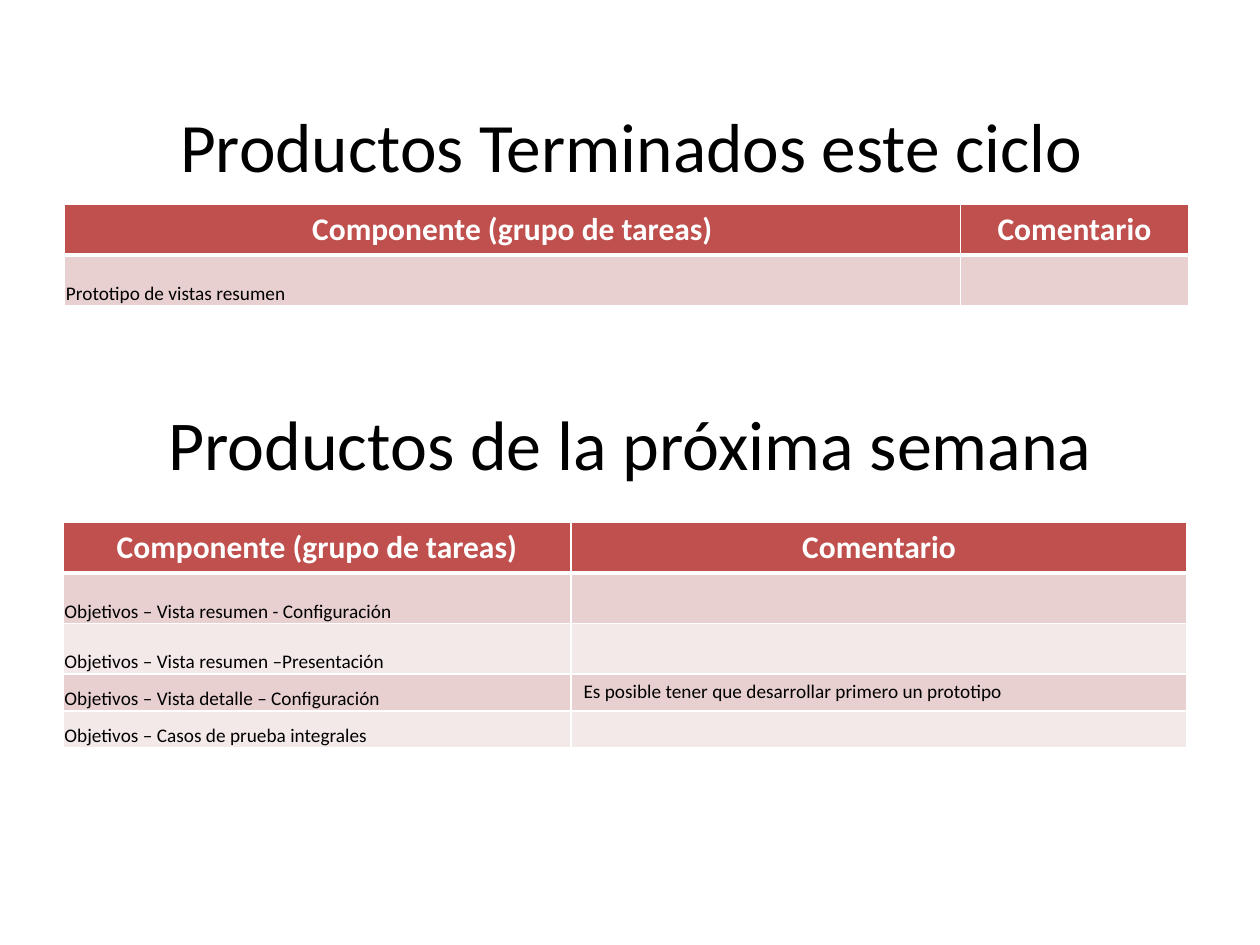
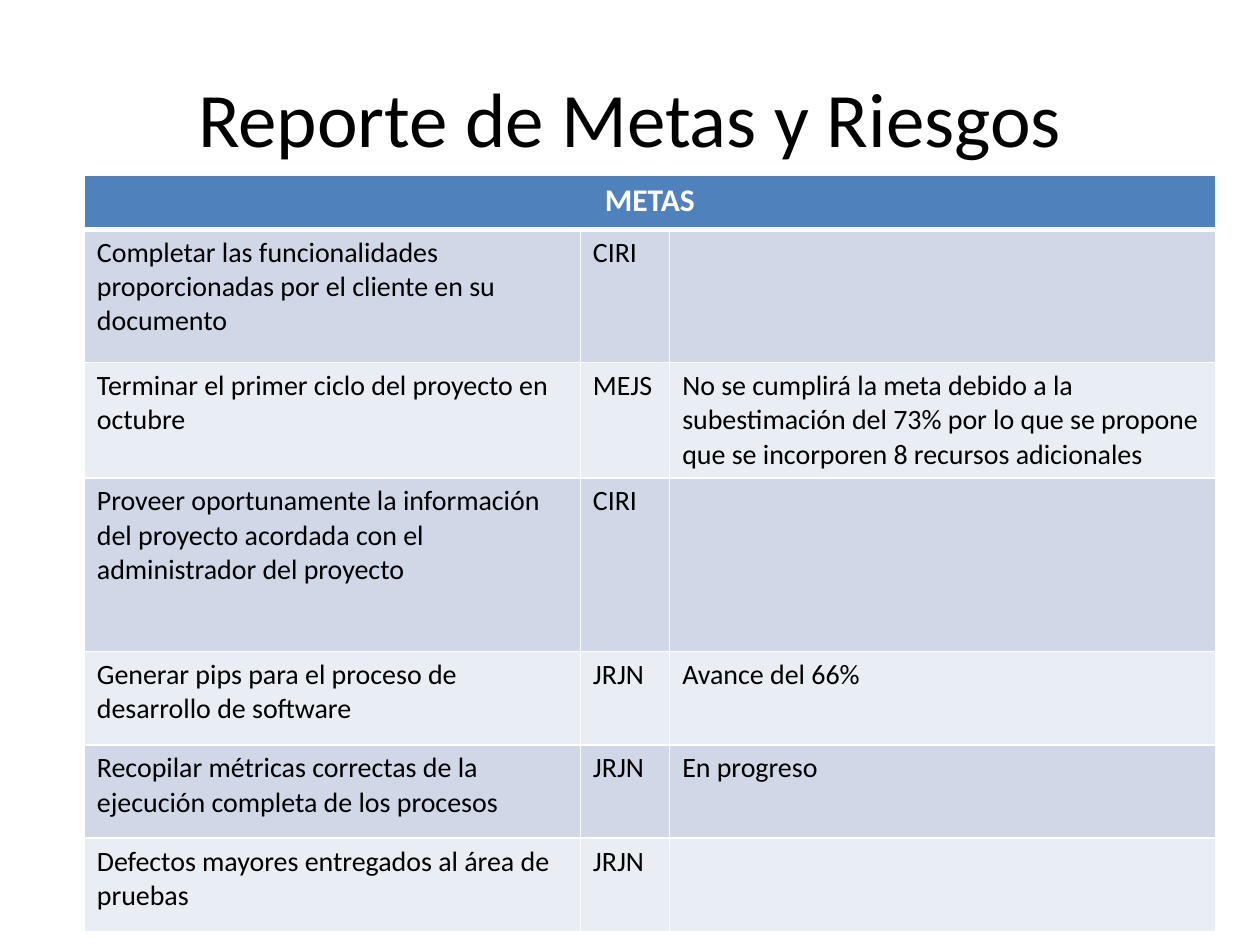
from lxml.etree import SubElement
from pptx import Presentation
from pptx.dml.color import RGBColor
from pptx.enum.text import MSO_ANCHOR as Anchor, MSO_AUTO_SIZE as AutoSize, PP_ALIGN as Align
from pptx.oxml.ns import qn
from pptx.util import Cm, Pt

# Shared look
FONT = "Calibri"
BLACK, WHITE = "000000", "FFFFFF"
RED = ("C0504D", "E8D0D0", "F4E9E9")  # header, odd rows, even rows
BLUE = ("4F81BD", "D0D8E8", "E9EDF4")
TITLE_ONLY = 5
HEADINGS = ("Componente (grupo de tareas)", "Comentario")

FINISHED = [("Prototipo de vistas resumen", "")]
NEXT_WEEK = [
    ("Objetivos – Vista resumen - Configuración", ""),
    ("Objetivos – Vista resumen –Presentación", ""),
    ("Objetivos – Vista detalle – Configuración",
     "Es posible tener que desarrollar primero un prototipo"),
    ("Objetivos – Casos de prueba integrales", ""),
]
GOALS = [
    ("Completar las funcionalidades proporcionadas por el cliente en su documento", "CIRI", ""),
    ("Terminar el primer ciclo del proyecto en octubre", "MEJS",
     "No se cumplirá la meta debido a la subestimación del 73% por lo que se propone "
     "que se incorporen 8 recursos adicionales"),
    ("Proveer oportunamente la información del proyecto acordada con el "
     "administrador del proyecto", "CIRI", ""),
    ("Generar pips para el proceso de desarrollo de software", "JRJN", "Avance del 66%"),
    ("Recopilar métricas correctas de la ejecución completa de los procesos", "JRJN",
     "En progreso"),
    ("Defectos mayores entregados al área de pruebas", "JRJN", ""),
]


def color(hex_code):
    return RGBColor.from_string(hex_code)


def write(frame, text, size, ink=BLACK, bold=False, align=Align.LEFT):
    para = frame.paragraphs[0]
    para.alignment = align
    if text:
        span = para.add_run()
        span.text = text
        span.font.name, span.font.size, span.font.bold = FONT, Pt(size), bold
        span.font.color.rgb = color(ink)
    else:  # an empty cell keeps the row's text size
        SubElement(para._p, qn("a:endParaRPr"), sz=str(size * 100))


def write_heading(box, text, place, size):
    box.left, box.top, box.width, box.height = map(Cm, place)
    frame = box.text_frame
    frame.word_wrap = True
    frame.auto_size = AutoSize.NONE
    frame.vertical_anchor = Anchor.MIDDLE
    write(frame, text, size, align=Align.CENTER)


def add_page(deck, title, place, size):
    page = deck.slides.add_slide(deck.slide_layouts[TITLE_ONLY])
    write_heading(page.shapes.title, title, place, size)
    return page


def set_borders(cell, top=1, bottom=1):
    widths = {"a:lnL": 1, "a:lnR": 1, "a:lnT": top, "a:lnB": bottom}
    for side, width in widths.items():
        line = SubElement(cell._tc.get_or_add_tcPr(), qn(side), w=str(Pt(width)))
        SubElement(SubElement(line, qn("a:solidFill")), qn("a:srgbClr"), val=WHITE)


def paint(cell, fill, **borders):
    set_borders(cell, **borders)
    cell.fill.solid()
    cell.fill.fore_color.rgb = color(fill)


def sink(cell):
    """Set the text on the lower left corner of the cell."""
    cell.vertical_anchor = Anchor.BOTTOM
    cell.margin_left = cell.margin_right = cell.margin_top = Cm(0.03)
    cell.margin_bottom = 0


def add_table(page, left, top, widths, heights, headings, rows, palette, size, sunk=False):
    table = page.shapes.add_table(
        len(heights), len(widths), Cm(left), Cm(top), Cm(sum(widths)), Cm(sum(heights))).table
    for column, width in zip(table.columns, widths):
        column.width = Cm(width)
    for row, height in zip(table.rows, heights):
        row.height = Cm(height)

    # Header: a single heading spans the table
    for col in range(len(widths)):
        paint(table.cell(0, col), palette[0], bottom=3)
    if len(headings) < len(widths):
        table.cell(0, 0).merge(table.cell(0, len(widths) - 1))
    for col, heading in enumerate(headings):
        write(table.cell(0, col).text_frame, heading, 18, WHITE, True, Align.CENTER)

    # Banded body
    for number, texts in enumerate(rows, start=1):
        for col, text in enumerate(texts):
            cell = table.cell(number, col)
            paint(cell, palette[2 - number % 2], top=3 if number == 1 else 1)
            write(cell.text_frame, text, size)
            if sunk and col == 0:
                sink(cell)


def add_products(deck):
    page = add_page(deck, "Productos Terminados este ciclo", (1.3, 1.93, 22.86, 1.96), 39.6)
    add_table(page, 1.3, 4.11, (18.06, 4.6), (1.02, 1.02), HEADINGS, FINISHED, RED, 11, sunk=True)
    place = (1.27, 7.72, 22.86, 2.39)
    write_heading(page.shapes.add_textbox(*map(Cm, place)),
                  "Productos de la próxima semana", place, 40)
    add_table(page, 1.27, 10.52, (10.24, 12.42), (1.02, 1.02, 1.02, 0.74, 0.72),
              HEADINGS, NEXT_WEEK, RED, 11, sunk=True)


def add_goals(deck):
    page = add_page(deck, "Reporte de Metas y Riesgos", (1.27, 0.76, 22.86, 3.18), 44)
    add_table(page, 1.7, 3.53, (10, 1.8, 11), (1.09, 2.69, 2.31, 3.5, 1.88, 1.88, 1.88),
              ("METAS",), GOALS, BLUE, 16)


def main():
    deck = Presentation()
    deck.slide_width, deck.slide_height = Cm(25.4), Cm(19.05)
    add_products(deck)
    add_goals(deck)
    deck.save("out.pptx")


if __name__ == "__main__":
    main()
